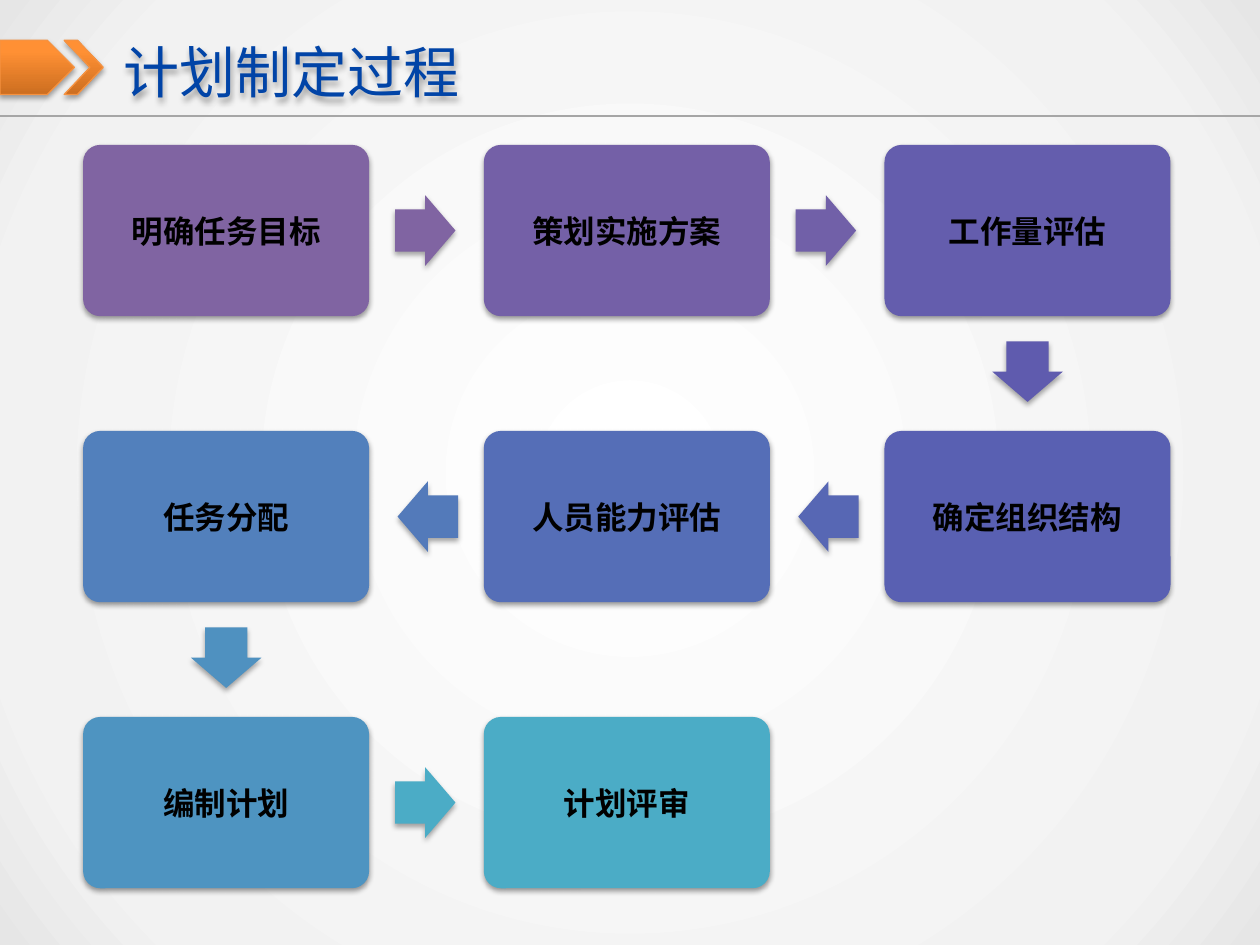
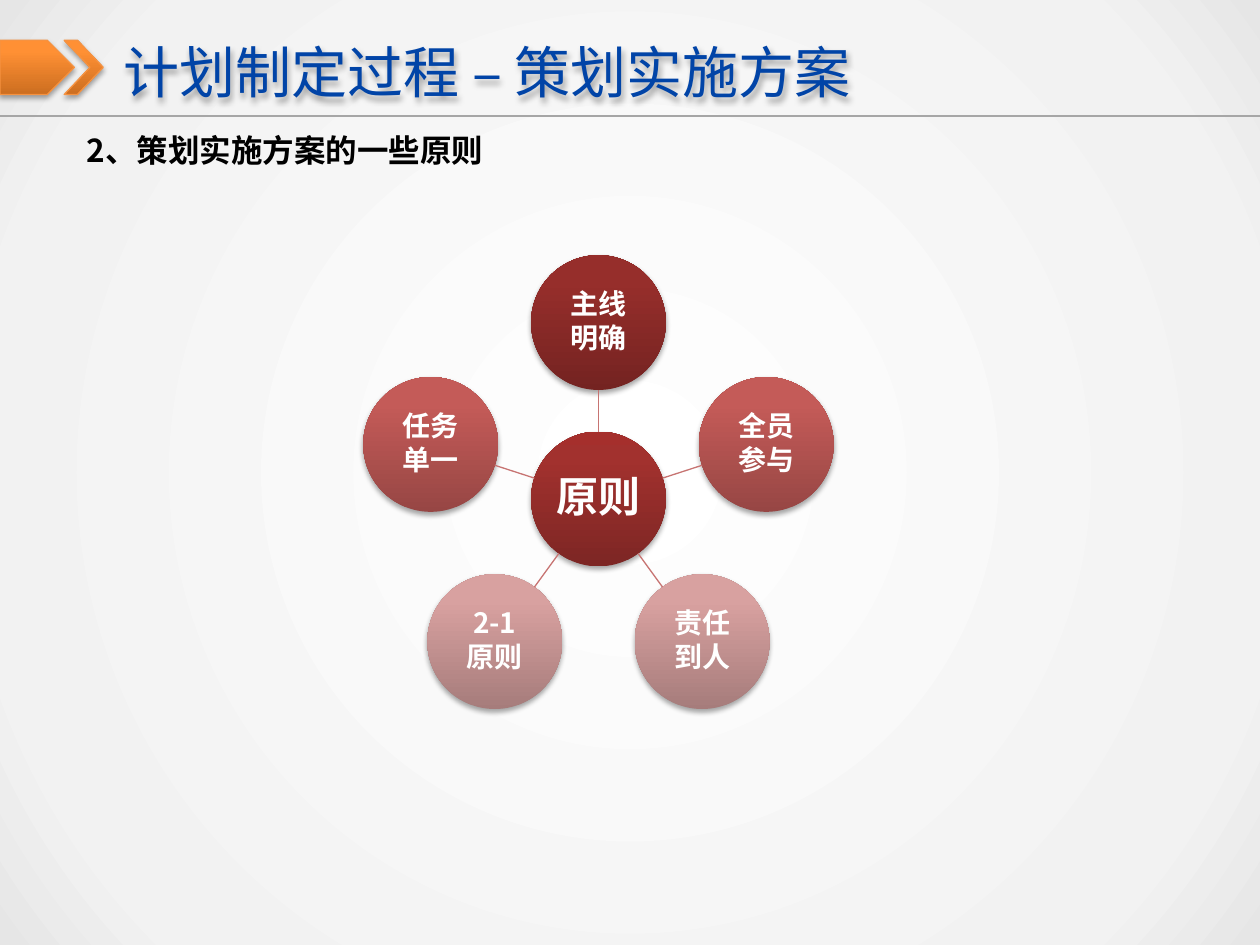
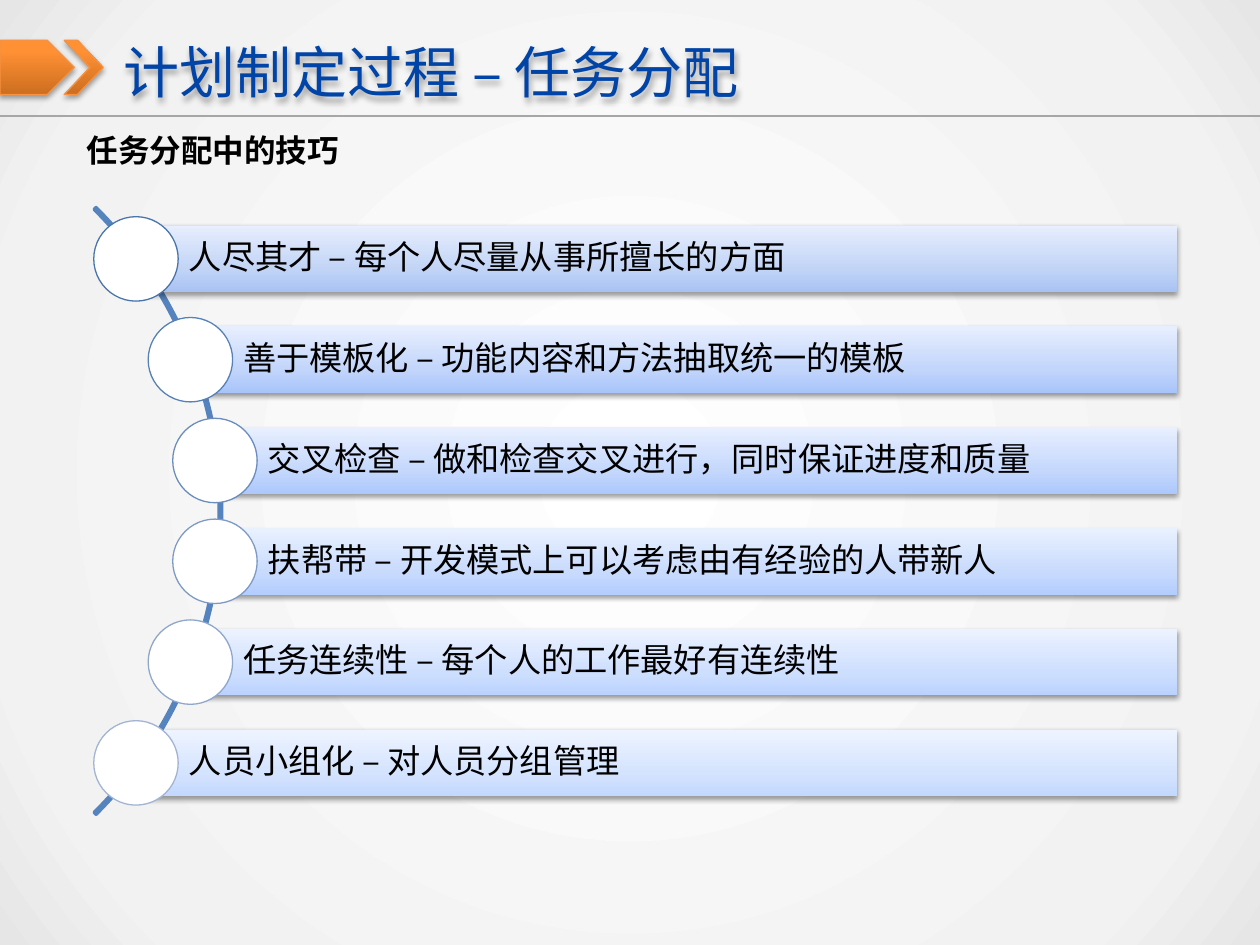
"""Build three slides about the planning process."""
from math import atan2, cos, degrees, radians, sin, sqrt

from lxml.etree import SubElement
from pptx import Presentation
from pptx.dml.color import RGBColor
from pptx.enum.shapes import MSO_CONNECTOR, MSO_SHAPE
from pptx.enum.text import MSO_ANCHOR, PP_ALIGN
from pptx.oxml.ns import qn
from pptx.util import Inches, Pt

FONT = "Noto Sans CJK SC"
ORANGE = [(0, "CC6E20"), (80, "FF9034"), (100, "FF9136")]
BACKDROP = [(0, "FFFFFF"), (82, "F2F2F2"), (100, "E6E6E6")]
SOFT_SHADOW = (38, 1.6)
DEEP_SHADOW = (35, 1.8)


def paint(fill, colours, owner=None):
    """Fill with nothing, one hex colour, or a list of gradient stops."""
    if colours is None:
        fill.background()
    elif isinstance(colours, str):
        fill.solid()
        fill.fore_color.rgb = RGBColor.from_string(colours)
    else:
        fill.gradient()
        fill.gradient_angle = 90
        stops = owner.element.find(".//" + qn("a:gsLst"))
        stops.clear()
        for percent, colour in colours:
            stop = SubElement(stops, qn("a:gs"), pos=str(percent * 1000))
            SubElement(stop, qn("a:srgbClr"), val=colour)


def add_box(page, text, at, preset=None, fill=None, line=None, width=0.75, shadow=None,
            adjust=(), size=18, colour="000000", bold=False, align=PP_ALIGN.LEFT,
            anchor=MSO_ANCHOR.MIDDLE, insets=(0.07, 0.07, 0.07, 0.07), spacing=None, after=0):
    """Add a shape, or a text box when no preset is given, with its text."""
    place = [Inches(length) for length in at]
    if preset is None:
        box = page.shapes.add_textbox(*place)
    else:
        box = page.shapes.add_shape(preset, *place)
    for index, value in enumerate(adjust):
        box.adjustments[index] = value
    paint(box.fill, fill, box)
    paint(box.line.fill, line)
    if line:
        box.line.width = Pt(width)
    box.shadow.inherit = False
    if shadow:
        alpha, distance = shadow
        effects = box.element.spPr.find(qn("a:effectLst"))
        outer = SubElement(effects, qn("a:outerShdw"), blurRad=str(Pt(3.1)),
                           dist=str(Pt(distance)), dir="5400000", rotWithShape="0")
        shade = SubElement(outer, qn("a:srgbClr"), val="000000")
        SubElement(shade, qn("a:alpha"), val=str(alpha * 1000))
    if text:
        frame = box.text_frame
        frame.word_wrap = True
        frame.vertical_anchor = anchor
        (frame.margin_left, frame.margin_top,
         frame.margin_right, frame.margin_bottom) = [Inches(inset) for inset in insets]
        frame.text = text
        for para in frame.paragraphs:
            para.alignment = align
            para.line_spacing = spacing
            para.space_after = Pt(after)
            for span in para.runs:
                paint(span.font.fill, colour)
                span.font.size = Pt(size)
                span.font.bold = bold
                span.font.name = FONT
                SubElement(span.font._element, qn("a:ea"), typeface=FONT)
    return box


deck = Presentation()
deck.slide_width = Inches(10)
deck.slide_height = Inches(7.5)
lines = []

headings = [
    ("计划制定过程", None),
    ("计划制定过程 – 策划实施方案", "2、策划实施方案的一些原则"),
    ("计划制定过程 – 任务分配", "任务分配中的技巧"),
]
for title, subtitle in headings:
    page = deck.slides.add_slide(deck.slide_layouts[6])
    paint(page.background.fill, BACKDROP, page)
    gradient = page.element.find(".//" + qn("a:gradFill"))
    gradient.remove(gradient.find(qn("a:lin")))
    circle = SubElement(gradient, qn("a:path"))
    circle.set("path", "circle")
    SubElement(circle, qn("a:fillToRect"), l="50000", t="50000", r="50000", b="50000")
    add_box(page, title, (0.98, 0.21, 8.82, 0.71), size=32, colour="0144A7",
            insets=(0, 0.05, 0, 0.05), shadow=DEEP_SHADOW)
    add_box(page, "", (0, 0.32, 0.59, 0.43), MSO_SHAPE.PENTAGON, fill=ORANGE,
            line="F69240", shadow=DEEP_SHADOW)
    add_box(page, "", (0.51, 0.32, 0.31, 0.43), MSO_SHAPE.CHEVRON, fill=ORANGE,
            line="F69240", shadow=DEEP_SHADOW, adjust=[0.66])
    lines.append((page, (0, 0.92, 10, 0.92), "A6A6A6"))
    if subtitle:
        add_box(page, subtitle, (0.59, 0.99, 8.27, 0.4), bold=True,
                anchor=MSO_ANCHOR.TOP, insets=(0.1, 0.05, 0.1, 0.05))

process_page, principle_page, skill_page = deck.slides

steps = [
    ("明确任务目标", 0, 0, "8064A2", "8064A2"),
    ("策划实施方案", 1, 0, "7460A7", "7160A8"),
    ("工作量评估", 2, 0, "645DAD", "5F5BAE"),
    ("确定组织结构", 2, 1, "5960B2", "5767B4"),
    ("人员能力评估", 1, 1, "556EB7", "537ABA"),
    ("任务分配", 0, 1, "5280BC", "4F91C0"),
    ("编制计划", 0, 2, "4E94C1", "4BACC6"),
    ("计划评审", 1, 2, "4BACC6", None),
]
step_width, step_height = 2.27, 1.36
arrow_width, arrow_height = 0.48, 0.56
for index, (name, column, row, step_colour, arrow_colour) in enumerate(steps):
    left, top = 0.66 + 3.18 * column, 1.15 + 2.27 * row
    add_box(process_page, name, (left, top, step_width, step_height),
            MSO_SHAPE.ROUNDED_RECTANGLE, fill=step_colour, shadow=SOFT_SHADOW,
            adjust=[0.1], bold=True, align=PP_ALIGN.CENTER)
    if arrow_colour:
        _, next_column, next_row, _, _ = steps[index + 1]
        across, down = next_column - column, next_row - row
        arrow_left = left + (step_width - arrow_width) / 2 + 1.58 * across
        arrow_top = top + (step_height - arrow_height) / 2 + 1.12 * down
        arrow = add_box(process_page, "", (arrow_left, arrow_top, arrow_width, arrow_height),
                        MSO_SHAPE.RIGHT_ARROW, fill=arrow_colour, shadow=DEEP_SHADOW,
                        adjust=[0.6, 0.5])
        arrow.rotation = degrees(atan2(down, across))

hub_red = [(0, "7D2624"), (80, "A2312E"), (100, "A52F2C")]
dark_red = [(0, "742321"), (80, "962E2B"), (100, "992C29")]
middle_red = [(0, "974644"), (80, "C45B58"), (100, "C75957")]
light_red = [(0, "A67C7B"), (80, "D8A1A0"), (100, "DAA1A0")]
principles = [
    ("主线\n明确", dark_red),
    ("全员\n参与", middle_red),
    ("责任\n到人", light_red),
    ("2-1\n原则", light_red),
    ("任务\n单一", middle_red),
]
hub_x, hub_y, orbit, diameter = 4.75, 3.96, 1.4, 1.07
radius = diameter / 2
circles = [("原则", hub_red, hub_x, hub_y, 24)]
for index, (name, reds) in enumerate(principles):
    angle = radians(72 * index - 90)
    across, down = cos(angle), sin(angle)
    circles.append((name, reds, hub_x + orbit * across, hub_y + orbit * down, 16))
    reach = orbit - radius
    lines.append((principle_page, (hub_x + radius * across, hub_y + radius * down,
                                   hub_x + reach * across, hub_y + reach * down), "C77472"))
for name, reds, center_x, center_y, size in circles:
    add_box(principle_page, name, (center_x - radius, center_y - radius, diameter, diameter),
            MSO_SHAPE.OVAL, fill=reds, shadow=DEEP_SHADOW, size=size, colour="FFFFFF",
            bold=True, align=PP_ALIGN.CENTER, insets=(0.01, 0.01, 0.01, 0.01),
            spacing=0.9, after=2)

skills = [
    ("人尽其才 – 每个人尽量从事所擅长的方面", "4875AC", ("A8C2F4", "C2D4F6", "E7EEFD")),
    ("善于模板化 – 功能内容和方法抽取统一的模板", "5681B7", ("A8C4FA", "C2D5FB", "E7EEFE")),
    ("交叉检查 – 做和检查交叉进行，同时保证进度和质量", "6A8DBE", ("ADC8FC", "C5D8FC", "E8EFFF")),
    ("扶帮带 – 开发模式上可以考虑由有经验的人带新人", "7D9AC5", ("B3CDFD", "C9DBFD", "E9F1FF")),
    ("任务连续性 – 每个人的工作最好有连续性", "8FA7CC", ("BBD2FE", "CEDFFE", "ECF2FF")),
    ("人员小组化 – 对人员分组管理", "A2B4D4", ("C3D8FE", "D4E3FE", "EEF4FF")),
]
add_box(skill_page, "", (-5.05, 0.65, 6.81, 6.81), MSO_SHAPE.BLOCK_ARC,
        line="5483BE", width=2, adjust=[189, 27, 0.003])
bar_height, bar_right, dot = 0.53, 9.34, 0.67
for index, (text, outline, blues) in enumerate(skills):
    top = 1.79 + 0.8 * index
    left = sqrt(3.4 ** 2 - (0.8 * (index - 2.5)) ** 2) - 1.67
    add_box(skill_page, text, (left, top, bar_right - left, bar_height), MSO_SHAPE.RECTANGLE,
            fill=list(zip((0, 35, 100), blues)), shadow=SOFT_SHADOW, size=19,
            insets=(0.42, 0.05, 0.05, 0.05), spacing=0.9)
    add_box(skill_page, "", (left - dot / 2, top + (bar_height - dot) / 2, dot, dot),
            MSO_SHAPE.OVAL, fill="FFFFFF", line=outline)

for page, ends, colour in lines:
    line = page.shapes.add_connector(MSO_CONNECTOR.STRAIGHT, *[Inches(end) for end in ends])
    paint(line.line.fill, colour)
    line.line.width = Pt(0.75)
    SubElement(line.element.spPr, qn("a:effectLst"))

deck.save("out.pptx")
